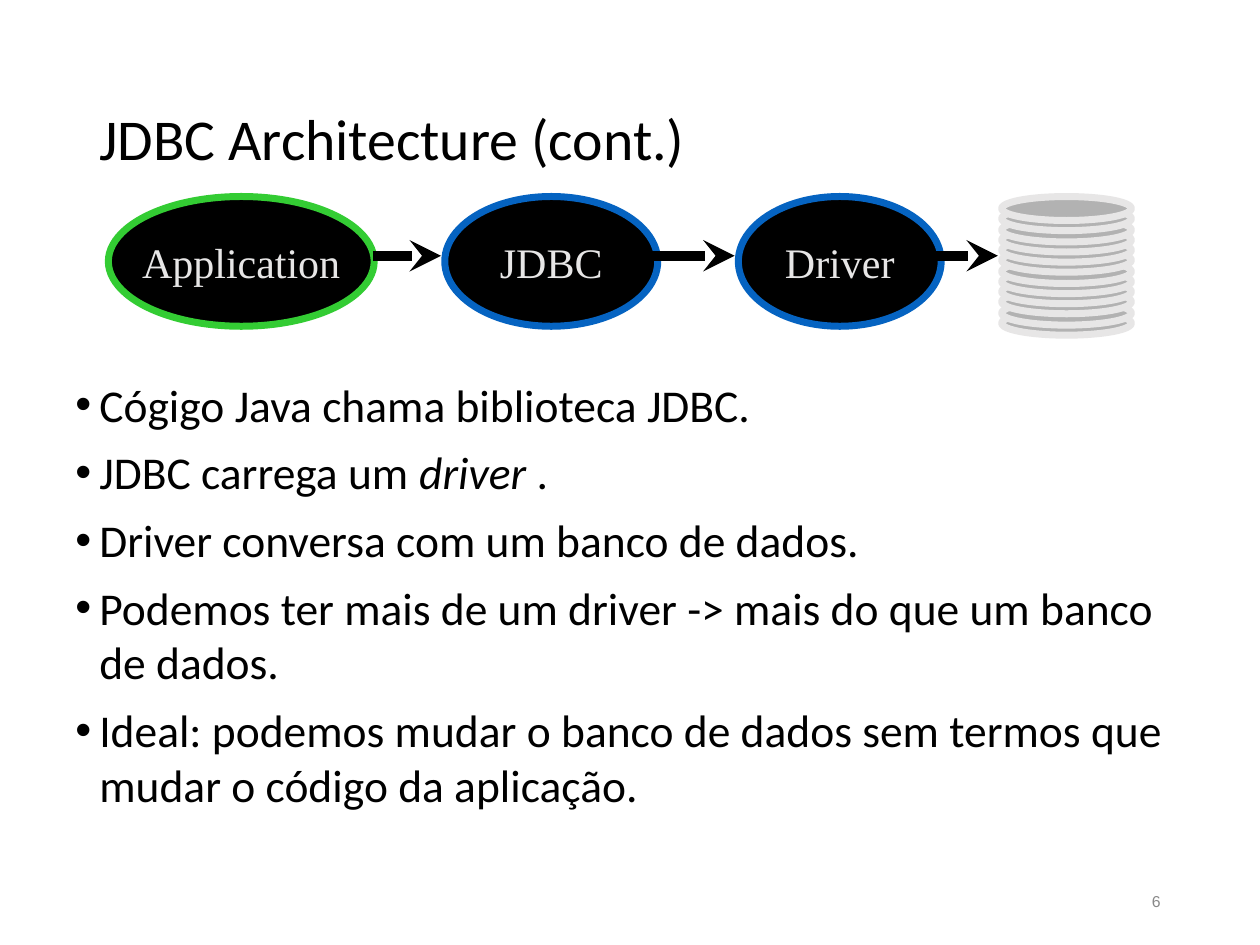
from dataclasses import dataclass

from lxml import etree
from pptx import Presentation
from pptx.dml.color import RGBColor
from pptx.enum import shapes, text
from pptx.oxml.ns import qn
from pptx.util import Emu, Pt

PX = 9144  # EMU per px, 100 px to the inch

BLACK, PALE, GRAY = "000000", "E7E6E6", "B2B2B2"
GREEN, BLUE, NUMBER_GRAY = "33CC33", "0563C1", "898989"


@dataclass
class Box:
    left: int
    top: int
    width: int
    height: int

    def emu(self) -> list[Emu]:
        return [px(n) for n in (self.left, self.top, self.width, self.height)]


@dataclass
class Style:
    font: str
    size: int
    color: str


@dataclass
class Stage:
    label: str
    left: int
    width: int
    outline: str


@dataclass
class Arrow:
    start: int
    end: int


TITLE = Style("Calibri", 33, BLACK)
BODY = Style("Calibri", 26, BLACK)
NUMBER = Style("Arial", 9, NUMBER_GRAY)
STAGE = Style("Times New Roman", 24, PALE)

STAGES = [
    Stage("Application", 86, 211, GREEN),
    Stage("JDBC", 353, 169, BLUE),
    Stage("Driver", 586, 161, BLUE),
]
ARROWS = [Arrow(296, 350), Arrow(504, 583), Arrow(713, 792)]
ROW_TOP, STAGE_HEIGHT, ARROW_Y = 156, 103, 203
DISKS, DISK_TOP_OF_LAST = 12, 247

# Each bullet is a list of (words, italic) runs
BULLETS = [
    [("Cógigo Java chama biblioteca JDBC.", False)],
    [("JDBC carrega um ", False), ("driver", True), (" .", False)],
    [("Driver conversa com um banco de dados.", False)],
    [("Podemos ter mais de um driver -> mais do que um banco de dados.", False)],
    [("Ideal: podemos mudar o banco de dados sem termos que "
      "mudar o código da aplicação.", False)],
]


def px(n: int) -> Emu:
    return Emu(n * PX)


def rgb(color: str) -> RGBColor:
    return RGBColor.from_string(color)


def add_run(paragraph, words: str, style: Style, italic: bool = False) -> None:
    run = paragraph.add_run()
    run.text = words
    run.font.name = style.font
    run.font.size = Pt(style.size)
    run.font.italic = italic
    run.font.color.rgb = rgb(style.color)


def add_text_frame(slide, box: Box, anchor):
    frame = slide.shapes.add_textbox(*box.emu()).text_frame
    frame.word_wrap = True
    frame.vertical_anchor = anchor
    return frame


def add_bullet(paragraph, runs: list[tuple[str, bool]]) -> None:
    paragraph.space_before = Pt(7.5)
    props = paragraph._p.get_or_add_pPr()
    props.set("marL", str(px(19)))
    props.set("indent", str(-px(19)))
    etree.SubElement(props, qn("a:buFont"), typeface="Arial")
    etree.SubElement(props, qn("a:buChar"), char="•")
    for words, italic in runs:
        add_run(paragraph, words, BODY, italic)


def add_ellipse(parent, box: Box, fill: str, outline: str):
    ellipse = parent.add_shape(shapes.MSO_SHAPE.OVAL, *box.emu())
    ellipse.shadow.inherit = False
    ellipse.fill.solid()
    ellipse.fill.fore_color.rgb = rgb(fill)
    ellipse.line.color.rgb = rgb(outline)
    ellipse.line.width = Pt(4)
    return ellipse


def add_stage(slide, stage: Stage) -> None:
    box = Box(stage.left, ROW_TOP, stage.width, STAGE_HEIGHT)
    frame = add_ellipse(slide.shapes, box, BLACK, stage.outline).text_frame
    frame.word_wrap = False
    frame.vertical_anchor = text.MSO_ANCHOR.MIDDLE
    paragraph = frame.paragraphs[0]
    paragraph.alignment = text.PP_ALIGN.CENTER
    add_run(paragraph, stage.label, STAGE)


def add_database(slide) -> None:
    stack = slide.shapes.add_group_shape().shapes
    step = (DISK_TOP_OF_LAST - ROW_TOP) / (DISKS - 1)
    for level in reversed(range(DISKS)):
        top = ROW_TOP + round(level * step)
        add_ellipse(stack, Box(795, top, 103, 19), GRAY, PALE)


def add_arrow(slide, arrow: Arrow) -> None:
    line = slide.shapes.add_connector(
        shapes.MSO_CONNECTOR.STRAIGHT,
        px(arrow.start), px(ARROW_Y), px(arrow.end), px(ARROW_Y))
    line.line.color.rgb = rgb(BLACK)
    line.line.width = Pt(6)
    etree.SubElement(line.line._get_or_add_ln(), qn("a:tailEnd"), type="stealth")
    etree.SubElement(line._element.spPr, qn("a:effectLst"))


def main() -> None:
    deck = Presentation()
    deck.slide_width, deck.slide_height = px(1000), px(750)
    slide = deck.slides.add_slide(deck.slide_layouts[6])

    # Title
    title = add_text_frame(slide, Box(69, 40, 863, 145), text.MSO_ANCHOR.MIDDLE)
    title.paragraphs[0].line_spacing = 0.9
    add_run(title.paragraphs[0], "JDBC Architecture (cont.)", TITLE)

    # Bullets
    body = add_text_frame(slide, Box(50, 294, 900, 367), text.MSO_ANCHOR.TOP)
    for index, runs in enumerate(BULLETS):
        add_bullet(body.add_paragraph() if index else body.paragraphs[0], runs)

    # Slide number
    number = add_text_frame(slide, Box(706, 695, 225, 40), text.MSO_ANCHOR.MIDDLE)
    number.paragraphs[0].alignment = text.PP_ALIGN.RIGHT
    add_run(number.paragraphs[0], "6", NUMBER)

    # Chain from the application to the database
    for stage in STAGES:
        add_stage(slide, stage)
    add_database(slide)
    for arrow in ARROWS:
        add_arrow(slide, arrow)

    deck.save("out.pptx")


if __name__ == "__main__":
    main()
